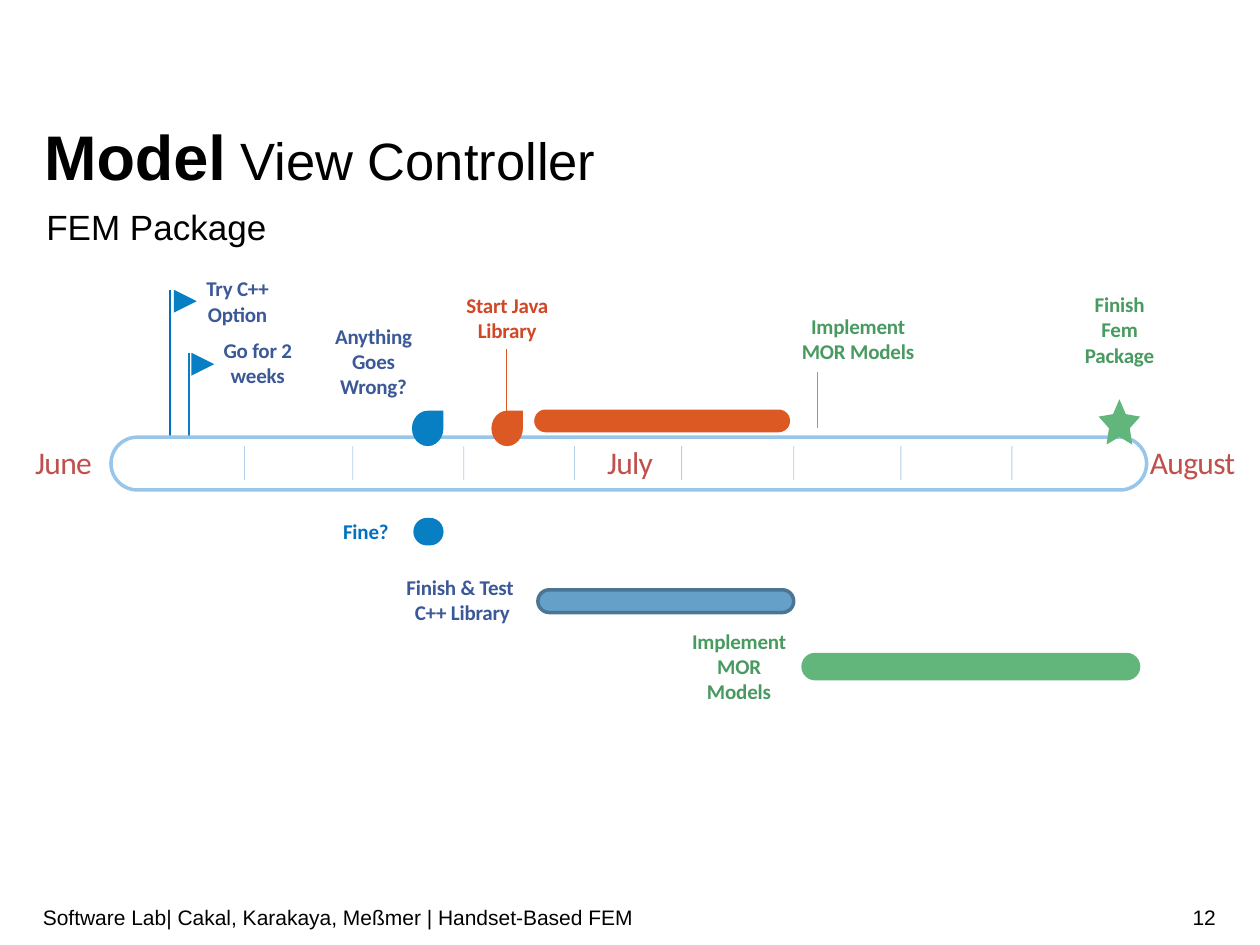
from lxml.etree import SubElement
from pptx import Presentation
from pptx.dml.color import RGBColor
from pptx.enum.shapes import MSO_CONNECTOR, MSO_SHAPE as Preset
from pptx.enum.text import MSO_ANCHOR as Anchor, MSO_AUTO_SIZE as AutoSize, PP_ALIGN as Align
from pptx.oxml.ns import qn
from pptx.util import Pt

BLACK = RGBColor(0x00, 0x00, 0x00)
WHITE = RGBColor(0xFF, 0xFF, 0xFF)
BLUE = RGBColor(0x08, 0x7F, 0xC3)
FLAG_BLUE = RGBColor(0x00, 0x72, 0xBC)
FINE_BLUE = RGBColor(0x00, 0x70, 0xC0)
TICK_BLUE = RGBColor(0x00, 0x65, 0xBD)
SKY = RGBColor(0x98, 0xC6, 0xEA)
STEEL = RGBColor(0x64, 0xA0, 0xC8)
DARK_STEEL = RGBColor(0x4A, 0x76, 0x94)
INDIGO = RGBColor(0x3B, 0x59, 0x98)
ORANGE = RGBColor(0xDC, 0x59, 0x24)
RED = RGBColor(0xD2, 0x47, 0x26)
MONTH_RED = RGBColor(0xC0, 0x50, 0x4D)
GREEN = RGBColor(0x62, 0xB5, 0x7B)
DARK_GREEN = RGBColor(0x48, 0x9A, 0x61)
OLIVE = RGBColor(0xA2, 0xAD, 0x00)


class TimelineSlide:
    heading_font = "Arial"
    label_font = "Calibri"

    def __init__(self, slide):
        self.slide = slide
        self.shapes = slide.shapes

    def title(self, bold_part, rest, box):
        title = self.shapes.title
        title.left, title.top, title.width, title.height = map(Pt, box)
        frame = title.text_frame
        self.fit(frame, Anchor.TOP, (0, 0))
        frame.auto_size = AutoSize.SHAPE_TO_FIT_TEXT
        paragraph = frame.paragraphs[0]
        paragraph.alignment = Align.LEFT
        paragraph.line_spacing = Pt(32)
        for text, size, bold in ((bold_part, 36, True), (rest, 30, False)):
            run = paragraph.add_run()
            run.text = text
            self.font(run.font, self.heading_font, size, BLACK, bold)

    def fit(self, frame, anchor, insets):
        frame.margin_left = frame.margin_right = Pt(insets[0])
        frame.margin_top = frame.margin_bottom = Pt(insets[1])
        frame.vertical_anchor = anchor

    def font(self, font, name, size, color, bold=False):
        font.name, font.size, font.bold = name, Pt(size), bold
        font.color.rgb = color

    def text(self, text, box, size, color, name=heading_font, bold=False, align=Align.LEFT,
             anchor=Anchor.MIDDLE, insets=(0, 3.6), wrap=True, tracking=0):
        frame = self.shapes.add_textbox(*map(Pt, box)).text_frame
        self.fit(frame, anchor, insets)
        frame.word_wrap = wrap
        frame.text = text
        for paragraph in frame.paragraphs:
            paragraph.alignment = align
            self.font(paragraph.font, name, size, color, bold)
            if tracking:
                for run in paragraph.runs:
                    run._r.get_or_add_rPr().set("spc", str(tracking))

    def label(self, text, box, color):
        self.text(text, box, 12, color, self.label_font, True, Align.CENTER,
                  insets=(0, 0), tracking=-10)

    def month(self, name, left, width):
        self.text(name, (left, 253.4, width, 21.6), 18, MONTH_RED, self.label_font,
                  align=Align.CENTER, insets=(0, 0), wrap=False, tracking=-40)

    def marker(self, preset, box, fill, outline=None, adjust=None, rotation=0):
        marker = self.shapes.add_shape(preset, *map(Pt, box))
        marker.shadow.inherit = False
        marker.rotation = rotation
        marker.fill.solid()
        marker.fill.fore_color.rgb = fill
        if outline is None:
            marker.line.fill.background()
        else:
            marker.line.color.rgb = outline
            marker.line.width = Pt(2)
        if adjust is not None:
            marker.adjustments[0] = adjust

    def bar(self, box, fill, outline=None):
        self.marker(Preset.ROUNDED_RECTANGLE, box, fill, outline, adjust=0.5)

    def vertical(self, x, top, bottom, color, width=0.75, opacity=None):
        line = self.shapes.add_connector(MSO_CONNECTOR.STRAIGHT, *map(Pt, (x, top, x, bottom)))
        line.line.color.rgb = color
        line.line.width = Pt(width)
        properties = line._element.spPr
        SubElement(properties, qn("a:effectLst"))
        if opacity is not None:
            alpha = SubElement(properties.find(".//" + qn("a:srgbClr")), qn("a:alpha"))
            alpha.set("val", str(opacity * 1000))


def main():
    presentation = Presentation()
    presentation.slide_width, presentation.slide_height = Pt(720), Pt(540)
    page = TimelineSlide(presentation.slides.add_slide(presentation.slide_layouts[5]))

    page.title("Model", " View Controller", (25.2, 78.5, 670.3, 32.4))
    page.text("FEM Package", (19.4, 113.8, 141.1, 31.7), 20, BLACK,
              anchor=Anchor.TOP, insets=(7.2, 3.6), wrap=False)
    page.text("Software Lab| Cakal, Karakaya, Meßmer | Handset-Based FEM",
              (24.5, 509.8, 509, 28.8), 12, BLACK)
    page.text("12", (533.5, 509.8, 161.3, 28.8), 12, BLACK, align=Align.RIGHT)

    for x, top, bottom, color in (
        (467.3, 212.4, 244.8, OLIVE),
        (289.4, 199.4, 244.8, ORANGE),
        (108, 201.6, 249.8, BLUE),
        (97.2, 165.6, 249.8, FLAG_BLUE),
    ):
        page.vertical(x, top, bottom, color)

    page.bar((63.4, 249.8, 591.8, 30.2), WHITE, SKY)
    for week in (139.7, 201.6, 265, 328.3, 389.5, 453.6, 514.8, 578.2):
        page.vertical(week, 254.9, 274.3, TICK_BLUE, 0.5, opacity=30)
    for name, left, width in (("June", 19.4, 33.8), ("July", 346.3, 27.4), ("August", 655.9, 51.1)):
        page.month(name, left, width)

    for left, top in ((99.4, 165.6), (109.4, 201.6)):
        page.marker(Preset.FLOWCHART_MERGE, (left, top, 13, 13), BLUE, rotation=270)
    for left, color in ((235.4, BLUE), (280.8, ORANGE)):
        page.marker(Preset.TEAR, (left, 234.7, 18, 20.2), color)
    page.marker(Preset.STAR_5_POINT, (627.8, 228.2, 23.8, 25.9), GREEN, adjust=0.25)

    for box, fill, outline in (
        ((236.2, 295.9, 17.3, 15.8), BLUE, None),
        ((305.3, 234, 146.2, 13), ORANGE, None),
        ((307.4, 337, 146.2, 13), STEEL, DARK_STEEL),
        ((457.9, 373, 193.7, 15.8), GREEN, None),
    ):
        page.bar(box, fill, outline)

    for text, box, color in (
        ("Try C++ Option", (110.9, 157.7, 49.7, 28.8), INDIGO),
        ("Go for 2 weeks", (122.4, 193, 49.7, 28.8), INDIGO),
        ("Anything Goes Wrong?", (188.6, 184.3, 49.7, 43.9), INDIGO),
        ("Start Java Library", (265, 167, 49.7, 28.8), RED),
        ("Implement MOR Models", (457.9, 171.4, 64.8, 43.9), DARK_GREEN),
        ("Finish Fem Package", (614.9, 166.3, 49.7, 43.9), DARK_GREEN),
        ("Fine?", (185, 296.6, 48.2, 14.4), FINE_BLUE),
        ("Finish & Test \nC++ Library", (218.9, 328.3, 90.7, 28.8), INDIGO),
        ("Implement MOR Models", (391.7, 358.6, 61.2, 43.9), DARK_GREEN),
    ):
        page.label(text, box, color)

    presentation.save("out.pptx")


if __name__ == "__main__":
    main()
